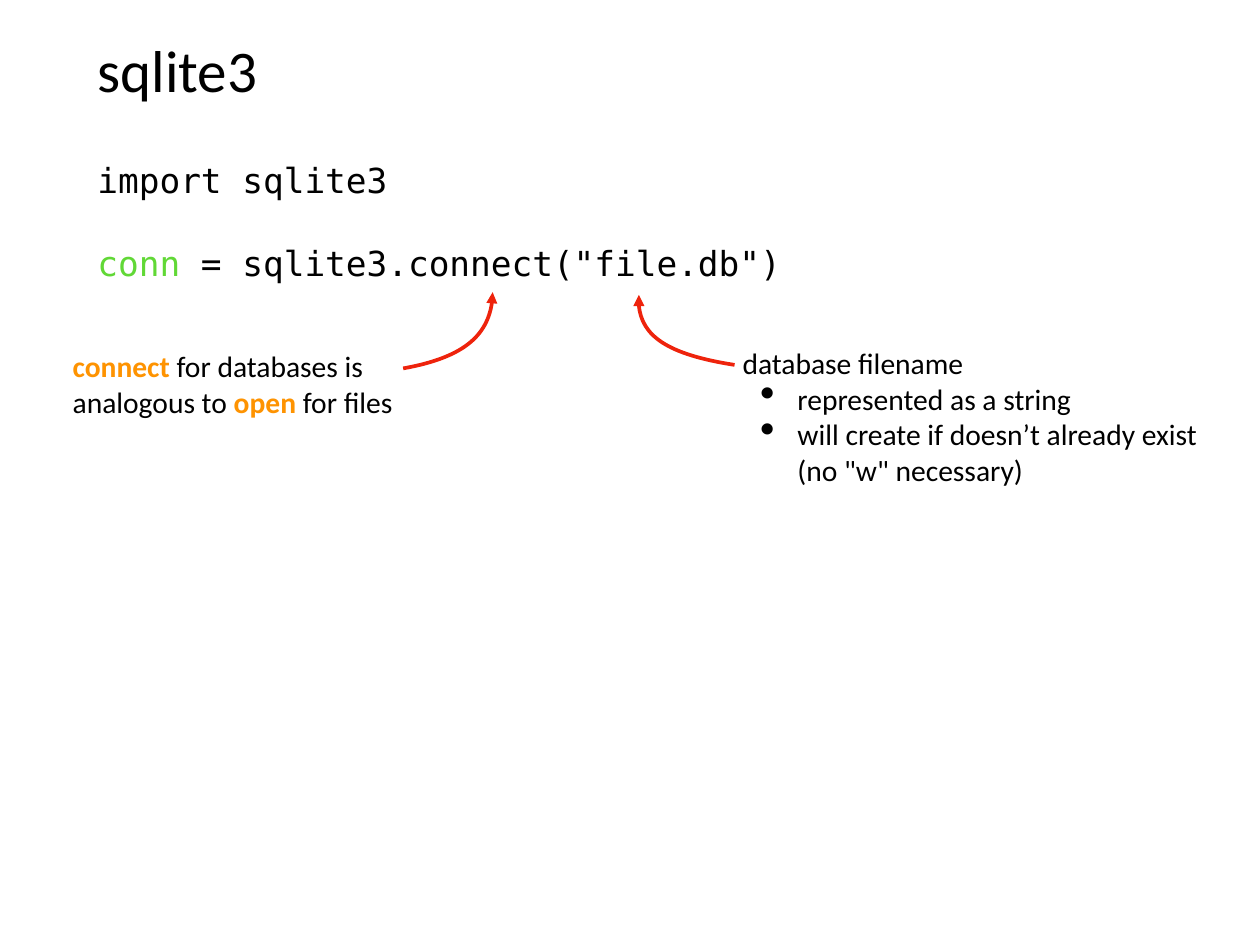
from lxml.etree import SubElement
from pptx import Presentation
from pptx.dml.color import RGBColor
from pptx.enum.text import MSO_ANCHOR, MSO_AUTO_SIZE, PP_ALIGN
from pptx.oxml.ns import qn
from pptx.util import Inches, Pt

COLORS = {"text": "000000", "variable": "61D836", "keyword": "FE9301", "arrow": "EE230C"}
FRAME_FORMAT = {
    "margin_left": Inches(0.06),
    "margin_right": Inches(0.06),
    "margin_top": Inches(0.06),
    "margin_bottom": Inches(0.06),
    "auto_size": MSO_AUTO_SIZE.NONE,
}


def place(shape, box, wrap=True, anchor=MSO_ANCHOR.TOP):
    for side, length in zip(("left", "top", "width", "height"), box):
        setattr(shape, side, Inches(length))
    frame = shape.text_frame
    for name, value in (FRAME_FORMAT | {"word_wrap": wrap, "vertical_anchor": anchor}).items():
        setattr(frame, name, value)
    return frame


def write(paragraph, pieces, font, size):
    paragraph.alignment = PP_ALIGN.LEFT
    for words, color, bold in pieces:
        if words == "\n":
            paragraph.add_line_break()
            continue
        run = paragraph.add_run()
        run.text = words
        for name, value in {"name": font, "size": Pt(size), "bold": bold}.items():
            setattr(run.font, name, value)
        run.font.color.rgb = RGBColor.from_string(COLORS[color])


prs = Presentation()
prs.slide_width = Inches(14.22)
prs.slide_height = Inches(10.67)
slide = prs.slides.add_slide(prs.slide_layouts[5])

title = place(slide.shapes.title, (1.04, 0.28, 12.14, 0.99), anchor=MSO_ANCHOR.MIDDLE)
write(title.paragraphs[0], [("sqlite3", "text", False)], "Calibri", 48)

code = place(slide.shapes.add_textbox(0, 0, 0, 0), (1.04, 1.74, 12.5, 1.9))
write(code.paragraphs[0], [("import sqlite3", "text", False)], "DejaVu Sans Mono", 28)
connect_line = code.add_paragraph()
connect_line.space_before = Pt(34)
write(
    connect_line,
    [("conn", "variable", False), (' = sqlite3.connect("file.db")', "text", False)],
    "DejaVu Sans Mono",
    28,
)

filename_note = place(slide.shapes.add_textbox(0, 0, 0, 0), (8.32, 3.84, 5.25, 1.67), wrap=False)
write(filename_note.paragraphs[0], [("database filename", "text", False)], "Calibri", 24)
for lines in (
    ["represented as a string"],
    ["will create if doesn’t already exist", "\n", '(no "w" necessary)'],
):
    point = filename_note.add_paragraph()
    properties = point._p.get_or_add_pPr()
    properties.set("marL", str(Inches(0.62)))
    properties.set("indent", str(Inches(-0.42)))
    SubElement(properties, qn("a:buSzPct"), val="145000")
    SubElement(properties, qn("a:buChar"), char="•")
    write(point, [(line, "text", False) for line in lines], "Calibri", 24)

connect_note = place(slide.shapes.add_textbox(0, 0, 0, 0), (0.76, 3.87, 4.28, 0.89))
write(
    connect_note.paragraphs[0],
    [
        ("connect", "keyword", True),
        (" for databases is analogous to ", "text", False),
        ("open", "keyword", True),
        (" for files", "text", False),
    ],
    "Calibri",
    24,
)

for start, *curve in (
    [(8.29, 4.12), (7.52, 4), (7.17, 3.74), (7.21, 3.33)],
    [(4.55, 4.16), (5.22, 4.04), (5.56, 3.75), (5.56, 3.3)],
):
    builder = slide.shapes.build_freeform(*start, scale=Inches(1))
    builder = slide.shapes.build_freeform(Inches(start[0]), Inches(start[1]))
    builder.add_line_segments([(Inches(x), Inches(y)) for x, y in curve], close=False)
    arrow = builder.convert_to_shape()
    arrow.shadow.inherit = False
    arrow.fill.background()
    arrow.line.width = Pt(3)
    arrow.line.color.rgb = RGBColor.from_string(COLORS["arrow"])
    SubElement(arrow.line._get_or_add_ln(), qn("a:tailEnd"), type="triangle")
    segments = list(arrow._element.iter(qn("a:lnTo")))
    bezier = SubElement(segments[0].getparent(), qn("a:cubicBezTo"))
    for segment in segments:
        bezier.append(segment[0])
        segment.getparent().remove(segment)

prs.save("out.pptx")
